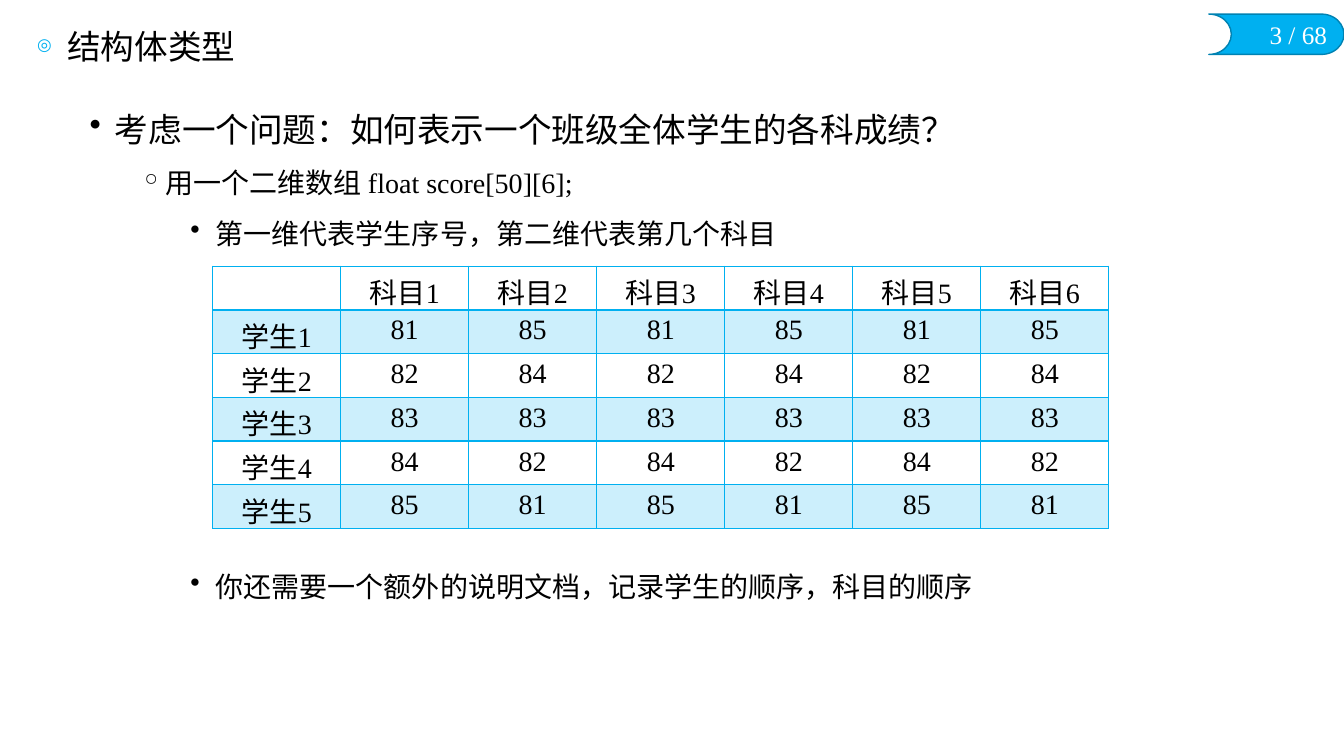
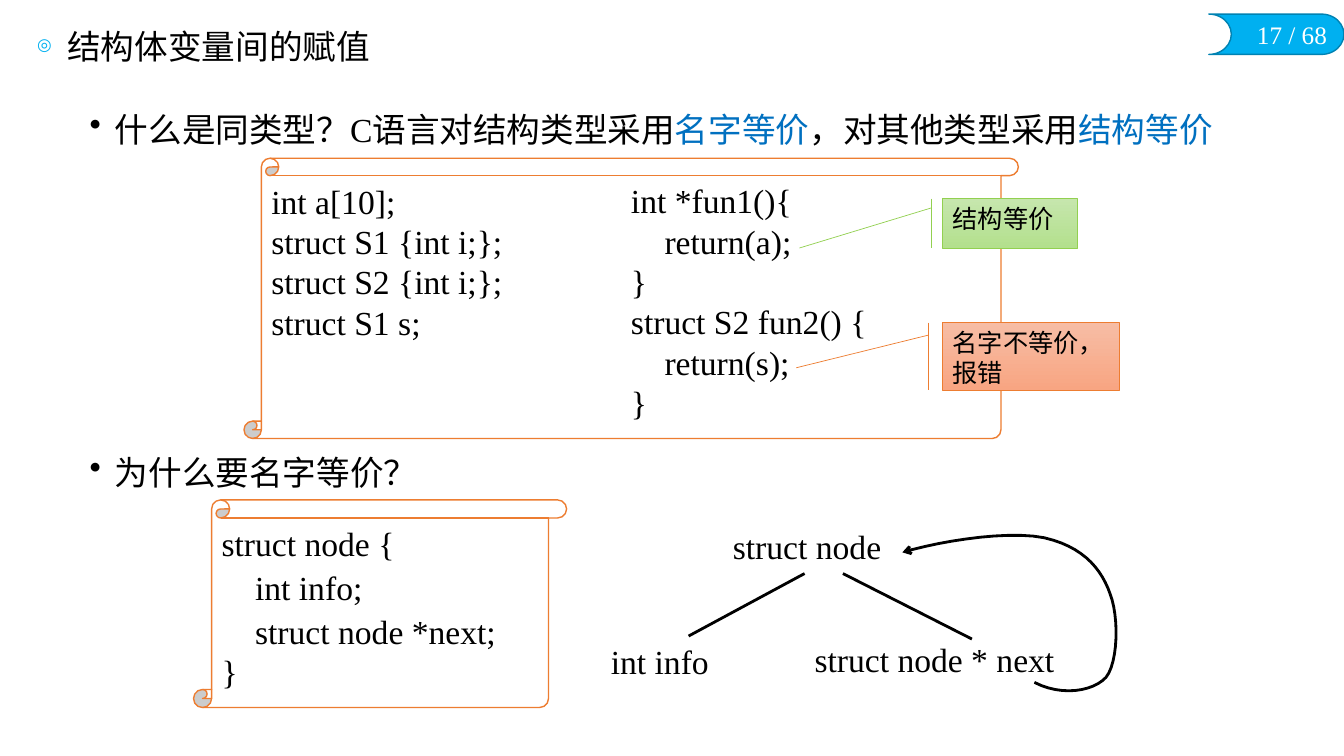
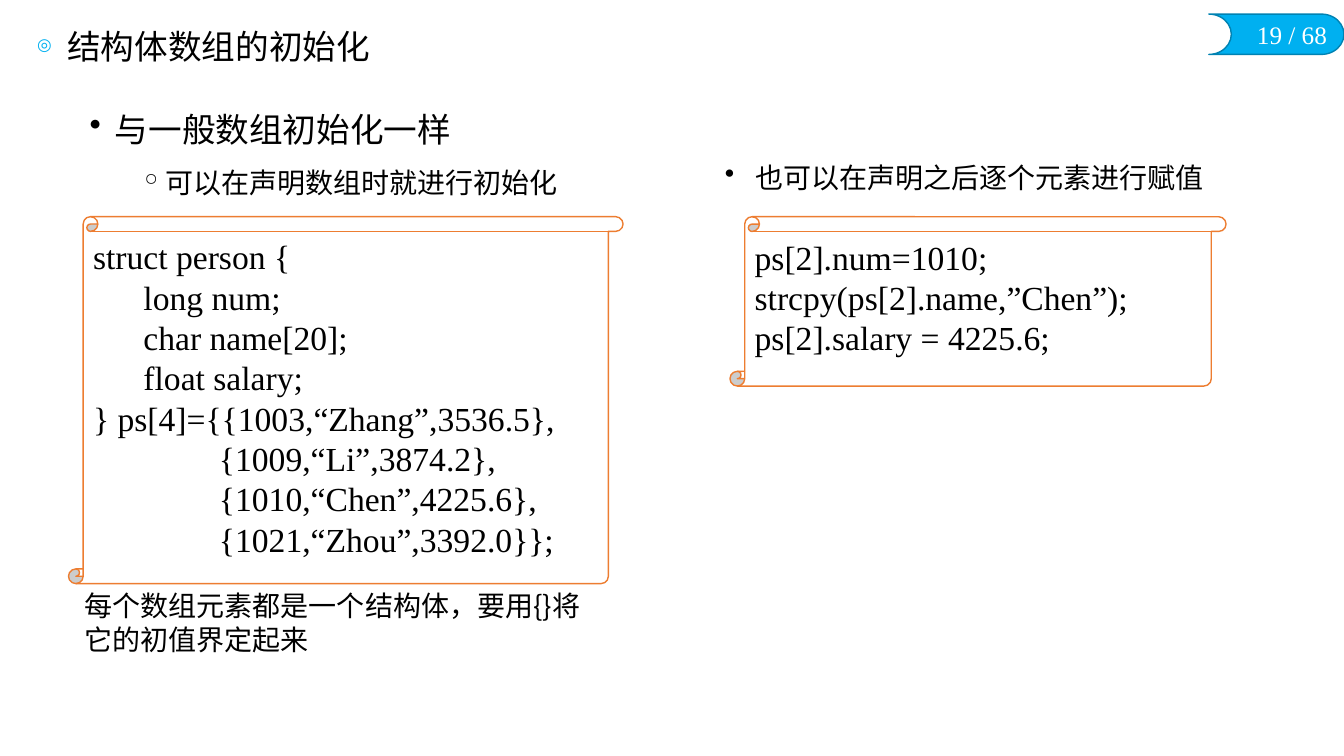
from dataclasses import dataclass

from pptx import Presentation
from pptx.dml.color import RGBColor
from pptx.enum.shapes import MSO_CONNECTOR, MSO_SHAPE
from pptx.enum.text import MSO_ANCHOR, PP_ALIGN
from pptx.oxml.ns import qn
from pptx.oxml.xmlchemy import OxmlElement
from pptx.util import Inches, Pt

TAB = MSO_SHAPE.FLOWCHART_STORED_DATA
SCROLL = MSO_SHAPE.VERTICAL_SCROLL
CALLOUT = MSO_SHAPE.LINE_CALLOUT_1_BORDER_AND_ACCENT_BAR
STRAIGHT = MSO_CONNECTOR.STRAIGHT
LEFT, CENTER, RIGHT = PP_ALIGN.LEFT, PP_ALIGN.CENTER, PP_ALIGN.RIGHT
TOP, MIDDLE = MSO_ANCHOR.TOP, MSO_ANCHOR.MIDDLE


@dataclass(frozen=True)
class Theme:
    width: float = 13.33
    height: float = 7.5
    accent: str = "00B0F0"
    accent_dark: str = "0082B2"
    band: str = "CCEFFC"
    key: str = "0070C0"
    scroll: str = "ED7D31"
    green: str = "92D050"
    ink: str = "000000"
    paper: str = "FFFFFF"
    serif: str = "Times New Roman"
    sans: str = "Calibri"
    cjk: str = "Noto Sans CJK SC"
    big: int = 24
    mid: int = 20
    small: int = 18
    leading: float = 1.2
    gap: int = 6


THEME = Theme()
PAGES_TOTAL = 68
BODY_LEFT, BODY_TOP, BODY_WIDTH = 0.79, 1.03, 11.71
BULLETS = [("•", 0.25, THEME.big), ("◦", 0.75, THEME.mid), ("•", 1.25, THEME.mid)]

# ---- Content ----
SCORE_POINTS = [
    (0, ["考虑一个问题：如何表示一个班级全体学生的各科成绩？"]),
    (1, ["用一个二维数组 float score[50][6];"]),
    (2, ["第一维代表学生序号，第二维代表第几个科目"]),
]
SCORE_REMARK = [(2, ["你还需要一个额外的说明文档，记录学生的顺序，科目的顺序"])]
SUBJECTS, STUDENTS = 6, 5
SCORES = [[""] + [f"科目{n + 1}" for n in range(SUBJECTS)]] + [
    [f"学生{s + 1}"] + [str(85 - s if n % 2 else 81 + s) for n in range(SUBJECTS)]
    for s in range(STUDENTS)
]

TYPE_POINT = [(0, ["什么是同类型？C语言对结构类型采用", ("名字等价", THEME.key),
                   "，对其他类型采用", ("结构等价", THEME.key)])]
WHY_POINT = [(0, ["为什么要名字等价？"])]
DECLARATIONS = ["int a[10];", "struct S1 {int i;};", "struct S2 {int i;};", "struct S1 s;"]
FUNCTIONS = ["int *fun1(){", "    return(a);", "}",
             "struct S2 fun2() {", "    return(s);", "}"]
NODE_CODE = ["struct node {", "    int info;", "    struct node *next;", "}"]
CALLOUTS = [
    ("结构等价", (9.35, 1.97, 1.34, 0.49), (0.188, -0.083, 1.0, -1.06),
     ("C6E6AD", "B3E08D"), THEME.green),
    ("名字不等价，报错", (9.35, 3.2, 1.75, 0.67), (0.188, -0.083, 0.67, -0.83),
     ("F7BDA5", "F8A582"), THEME.scroll),
]
TREE_LABELS = [
    ("struct node", (7.17, 5.21, 2.3, 0.43)),
    ("int info", (5.96, 6.35, 1.57, 0.39)),
    ("struct node * next", (7.98, 6.33, 3.19, 0.39)),
]
TREE_BRANCHES = [((7.98, 5.69), (6.83, 6.31)), ((8.36, 5.69), (9.64, 6.34))]
LOOP_START = (10.26, 6.77)
LOOP_CURVES = [
    ((10.53, 6.91), (10.84, 6.86), (10.97, 6.72)),
    ((11.09, 6.57), (11.1, 6.12), (11.01, 5.89)),
    ((10.93, 5.66), (10.77, 5.46), (10.45, 5.36)),
    ((10.11, 5.24), (9.35, 5.36), (8.95, 5.48)),
]

INIT_POINTS = [(0, ["与一般数组初始化一样"]), (1, ["可以在声明数组时就进行初始化"])]
INIT_CODE = [
    "struct person {",
    "      long num;",
    "      char name[20];",
    "      float salary;",
    "} ps[4]={{1003,“Zhang”,3536.5},",
    "               {1009,“Li”,3874.2},",
    "               {1010,“Chen”,4225.6},",
    "               {1021,“Zhou”,3392.0}};",
]
ASSIGN_CODE = ["ps[2].num=1010;", "strcpy(ps[2].name,”Chen”);", "ps[2].salary = 4225.6;"]
ASSIGN_POINT = "也可以在声明之后逐个元素进行赋值"
INIT_NOTE = "每个数组元素都是一个结构体，要用{}将它的初值界定起来"


# ---- Text ----
def rgb(code):
    return RGBColor.from_string(code)


def add_child(parent, tag, **attributes):
    child = OxmlElement(tag)
    for key, value in attributes.items():
        child.set(key, str(value))
    parent.append(child)
    return child


def add_span(para, text, size, color=THEME.ink, font=THEME.serif):
    span = para.add_run()
    span.text = text
    span.font.size = Pt(size)
    span.font.name = font
    span.font.color.rgb = rgb(color)
    east_asian = OxmlElement("a:ea")
    east_asian.set("typeface", THEME.cjk)
    span.font._element.find(qn("a:latin")).addnext(east_asian)


def next_para(frame, size, align=LEFT, before=0, after=0):
    first = frame.paragraphs[0]
    is_first = not first.runs
    para = first if is_first else frame.add_paragraph()
    para.alignment = align
    para.line_spacing = Pt(size * THEME.leading)
    para.space_before = Pt(0 if is_first else before)
    para.space_after = Pt(after)
    return para


def set_bullet(para, char, indent, hang, color=None, percent=None):
    props = para._p.get_or_add_pPr()
    props.set("marL", str(Inches(indent)))
    props.set("indent", str(-Inches(hang)))
    if color:
        add_child(add_child(props, "a:buClr"), "a:srgbClr", val=color)
    if percent:
        add_child(props, "a:buSzPct", val=percent * 1000)
    add_child(props, "a:buChar", char=char)


def add_box(page, place, anchor=TOP, wrap=True, insets=None):
    frame = page.shapes.add_textbox(*map(Inches, place)).text_frame
    frame.word_wrap = wrap
    frame.vertical_anchor = anchor
    if insets:
        (frame.margin_left, frame.margin_top,
         frame.margin_right, frame.margin_bottom) = map(Inches, insets)
    return frame


def add_lines(frame, lines, size=THEME.big, font=THEME.serif, before=0):
    for index, line in enumerate(lines):
        last = index == len(lines) - 1
        para = next_para(frame, size, before=0 if last else before)
        add_span(para, line, size, font=font)


def add_points(page, points, row=0):
    """Bulleted body text; row is the offset in points below the body top."""
    pitches = [BULLETS[level][2] * THEME.leading + 2 * THEME.gap for level, _ in points]
    place = (BODY_LEFT, BODY_TOP + row / 72, BODY_WIDTH, sum(pitches) / 72 + 0.1)
    frame = add_box(page, place)
    for level, spans in points:
        char, indent, size = BULLETS[level]
        para = next_para(frame, size, before=THEME.gap, after=THEME.gap)
        set_bullet(para, char, indent, 0.25)
        for span in spans:
            text, color = (span, THEME.ink) if isinstance(span, str) else span
            add_span(para, text, size, color)


# ---- Shapes ----
def add_preset(page, preset, place, line, width, fill=None, adjust=()):
    shape = page.shapes.add_shape(preset, *map(Inches, place))
    shape.shadow.inherit = False
    if fill:
        shape.fill.solid()
        shape.fill.fore_color.rgb = rgb(fill)
    shape.line.color.rgb = rgb(line)
    shape.line.width = Pt(width)
    for index, value in enumerate(adjust):
        shape.adjustments[index] = value
    shape.text_frame.word_wrap = True
    shape.text_frame.vertical_anchor = TOP
    return shape


def add_scroll(page, place, curl, lines, before=0):
    shape = add_preset(page, SCROLL, place, THEME.scroll, 1, THEME.paper, [curl])
    add_lines(shape.text_frame, lines, before=before)


def add_callout(page, text, place, adjust, shades, line):
    shape = add_preset(page, CALLOUT, place, line, 0.5, adjust=adjust)
    shape.fill.gradient()
    shape.fill.gradient_angle = 270
    for stop, position, shade in zip(shape.fill.gradient_stops, (0, 1), shades):
        stop.color.rgb = rgb(shade)
        stop.position = position
    add_lines(shape.text_frame, [text], THEME.small, THEME.sans)


def add_branch(page, start, end):
    branch = page.shapes.add_connector(STRAIGHT, *map(Inches, start + end))
    branch.line.color.rgb = rgb(THEME.ink)
    branch.line.width = Pt(2)
    add_child(branch._element.spPr, "a:effectLst")


def curve_points(start, curves, steps=12):
    for first, second, end in curves:
        for step in range(1, steps + 1):
            t = step / steps
            weights = ((1 - t) ** 3, 3 * t * (1 - t) ** 2, 3 * t * t * (1 - t), t ** 3)
            corners = (start, first, second, end)
            yield tuple(Inches(sum(w * c[axis] for w, c in zip(weights, corners)))
                        for axis in (0, 1))
        start = end


def add_loop_arrow(page):
    builder = page.shapes.build_freeform(*map(Inches, LOOP_START))
    builder.add_line_segments(list(curve_points(LOOP_START, LOOP_CURVES)), close=False)
    loop = builder.convert_to_shape()
    loop.shadow.inherit = False
    loop.fill.background()
    loop.line.color.rgb = rgb(THEME.ink)
    loop.line.width = Pt(2)
    add_child(loop.line._get_or_add_ln(), "a:tailEnd", type="arrow")


def add_border(cell, side, width):
    line = add_child(cell._tc.get_or_add_tcPr(), f"a:ln{side}", w=Pt(width))
    add_child(add_child(line, "a:solidFill"), "a:srgbClr", val=THEME.accent)


def add_score_table(page, left, top, col_width, row_height):
    rows, cols = len(SCORES), len(SCORES[0])
    size = (left, top, col_width * cols, row_height * rows)
    table = page.shapes.add_table(rows, cols, *map(Inches, size)).table
    table.first_row = table.horz_banding = False
    for r, values in enumerate(SCORES):
        for c, value in enumerate(values):
            cell = table.cell(r, c)
            for side in "LRTB":
                under_head = (r, side) in ((0, "B"), (1, "T"))
                add_border(cell, side, 2 if under_head else 1)
            if r % 2:
                cell.fill.solid()
                cell.fill.fore_color.rgb = rgb(THEME.band)
            else:
                cell.fill.background()
            if value:
                para = cell.text_frame.paragraphs[0]
                para.alignment = CENTER
                add_span(para, value, THEME.mid)


# ---- Slides ----
def start_page(deck, title, number):
    page = deck.slides.add_slide(deck.slide_layouts[6])
    tab = add_preset(page, TAB, (11.99, 0.14, 1.34, 0.4), THEME.accent_dark, 1, THEME.accent)
    tab._element.spPr.find(qn("a:xfrm")).set("flipH", "1")
    frame = add_box(page, (12.31, 0.14, 0.95, 0.4), wrap=False)
    para = next_para(frame, THEME.small, RIGHT)
    add_span(para, f"{number} / {PAGES_TOTAL}", THEME.small, THEME.paper)
    frame = add_box(page, (0.27, 0.23, 6.37, 0.46), MIDDLE)
    para = next_para(frame, THEME.big)
    set_bullet(para, "◎", 0.3, 0.3, THEME.accent, 50)
    add_span(para, title, THEME.big)
    return page


def build_scores(deck):
    page = start_page(deck, "结构体类型", 3)
    add_points(page, SCORE_POINTS)
    add_score_table(page, 2.11, 2.64, 1.27, 0.41)
    add_points(page, SCORE_REMARK, row=329)


def build_assignment(deck):
    page = start_page(deck, "结构体变量间的赋值", 17)
    add_points(page, TYPE_POINT)
    add_points(page, WHY_POINT, row=245)
    add_scroll(page, (2.42, 1.57, 7.68, 2.78), 0.062, DECLARATIONS)
    add_lines(add_box(page, (6.16, 1.74, 3.1, 2.5)), FUNCTIONS)
    for callout in CALLOUTS:
        add_callout(page, *callout)
    # Type tree
    for text, place in TREE_LABELS:
        add_lines(add_box(page, place, insets=(0.1, 0.01, 0.02, 0.01)), [text])
    for start, end in TREE_BRANCHES:
        add_branch(page, start, end)
    add_loop_arrow(page)
    add_scroll(page, (1.92, 4.96, 3.7, 2.06), 0.087, NODE_CODE, before=2.6)


def build_initialisation(deck):
    page = start_page(deck, "结构体数组的初始化", 19)
    add_points(page, INIT_POINTS)
    add_scroll(page, (0.68, 2.15, 5.5, 3.64), 0.04, INIT_CODE)
    add_scroll(page, (7.24, 2.15, 4.92, 1.68), 0.087, ASSIGN_CODE)
    para = next_para(add_box(page, (7.09, 1.54, 4.99, 0.44)), THEME.mid)
    set_bullet(para, "•", 0.3, 0.3)
    add_span(para, ASSIGN_POINT, THEME.mid, font=THEME.cjk)
    add_lines(add_box(page, (0.74, 5.79, 5.37, 0.77)), [INIT_NOTE], THEME.mid, THEME.cjk)


def main():
    deck = Presentation()
    deck.slide_width, deck.slide_height = Inches(THEME.width), Inches(THEME.height)
    for build in (build_scores, build_assignment, build_initialisation):
        build(deck)
    deck.save("out.pptx")


if __name__ == "__main__":
    main()
